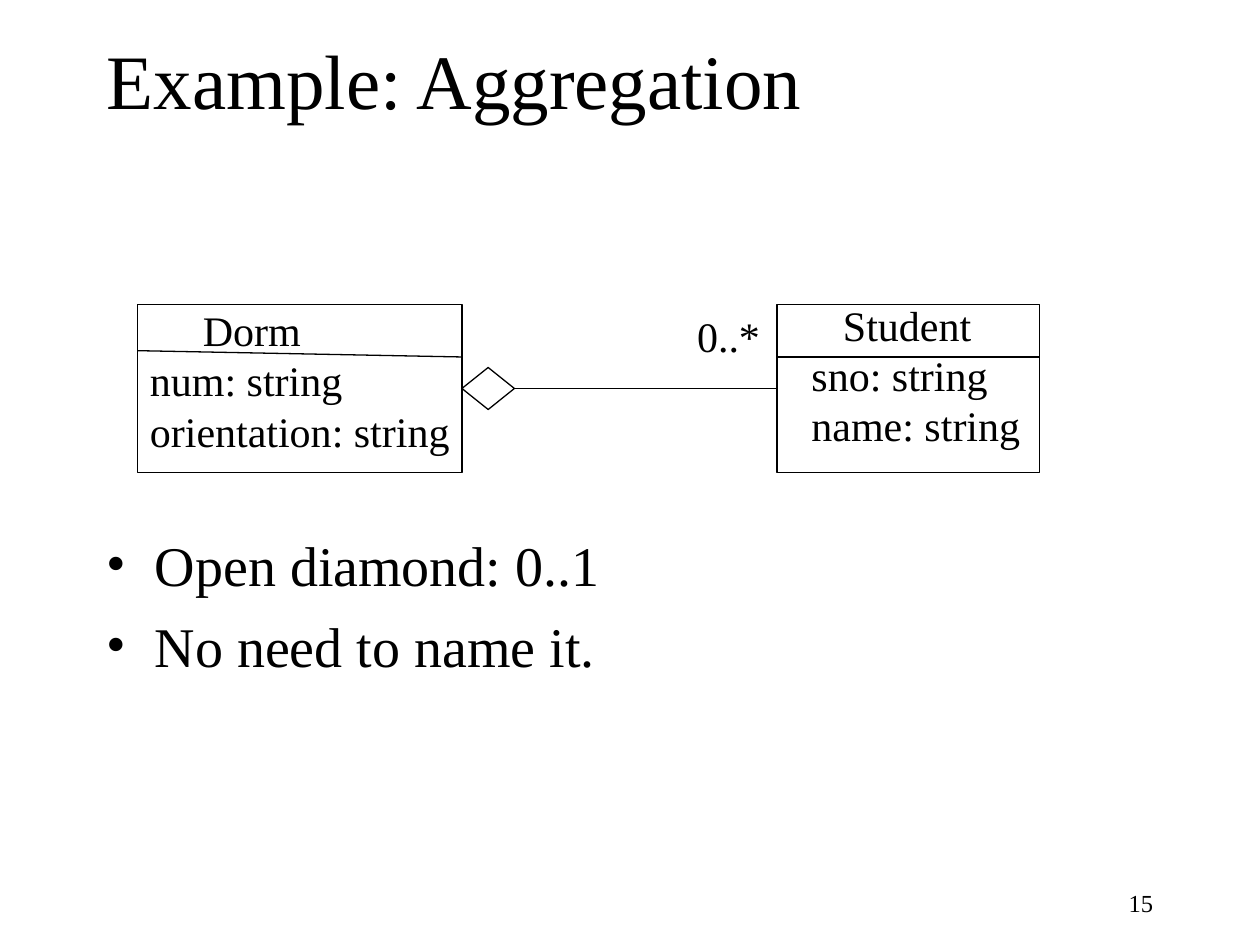
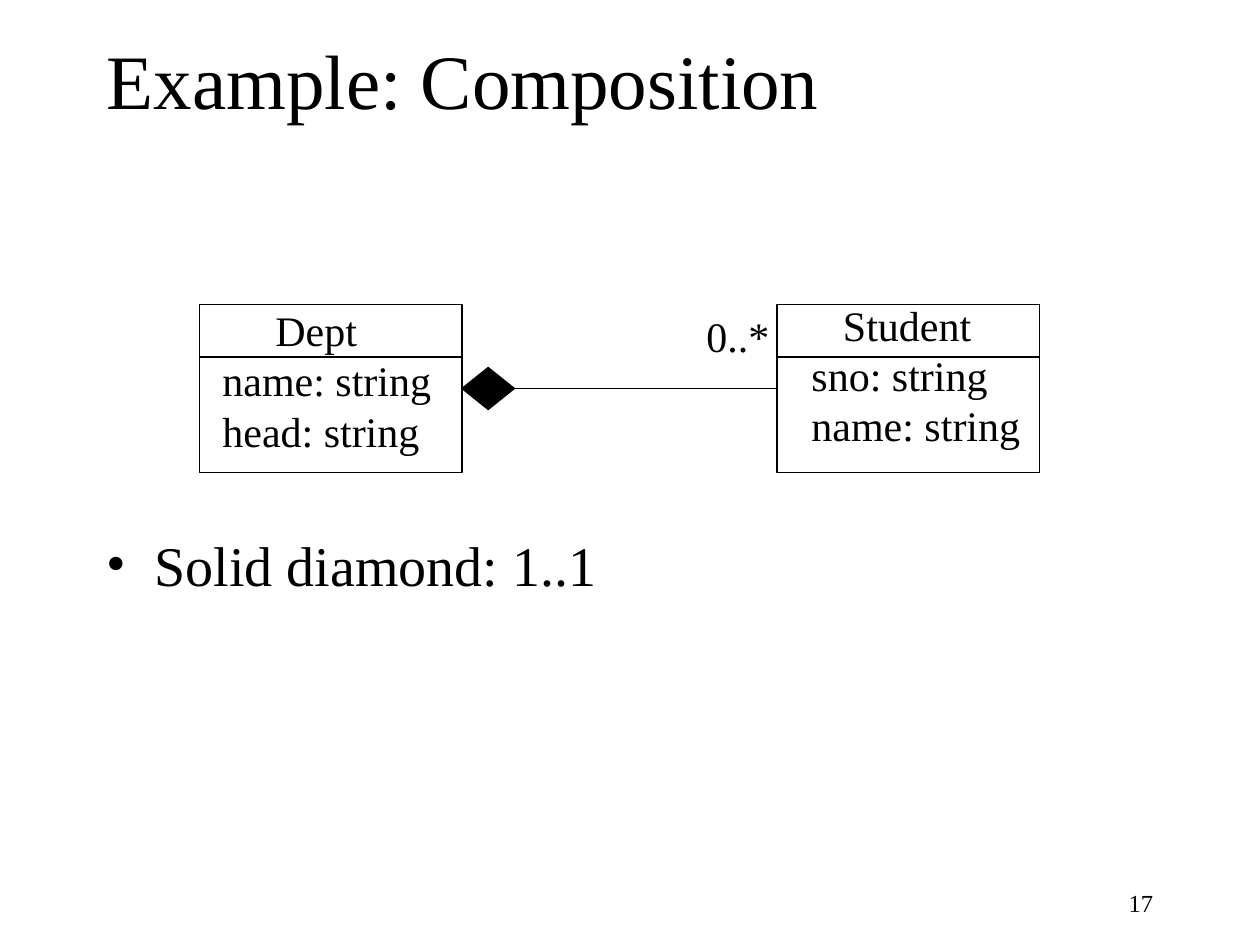
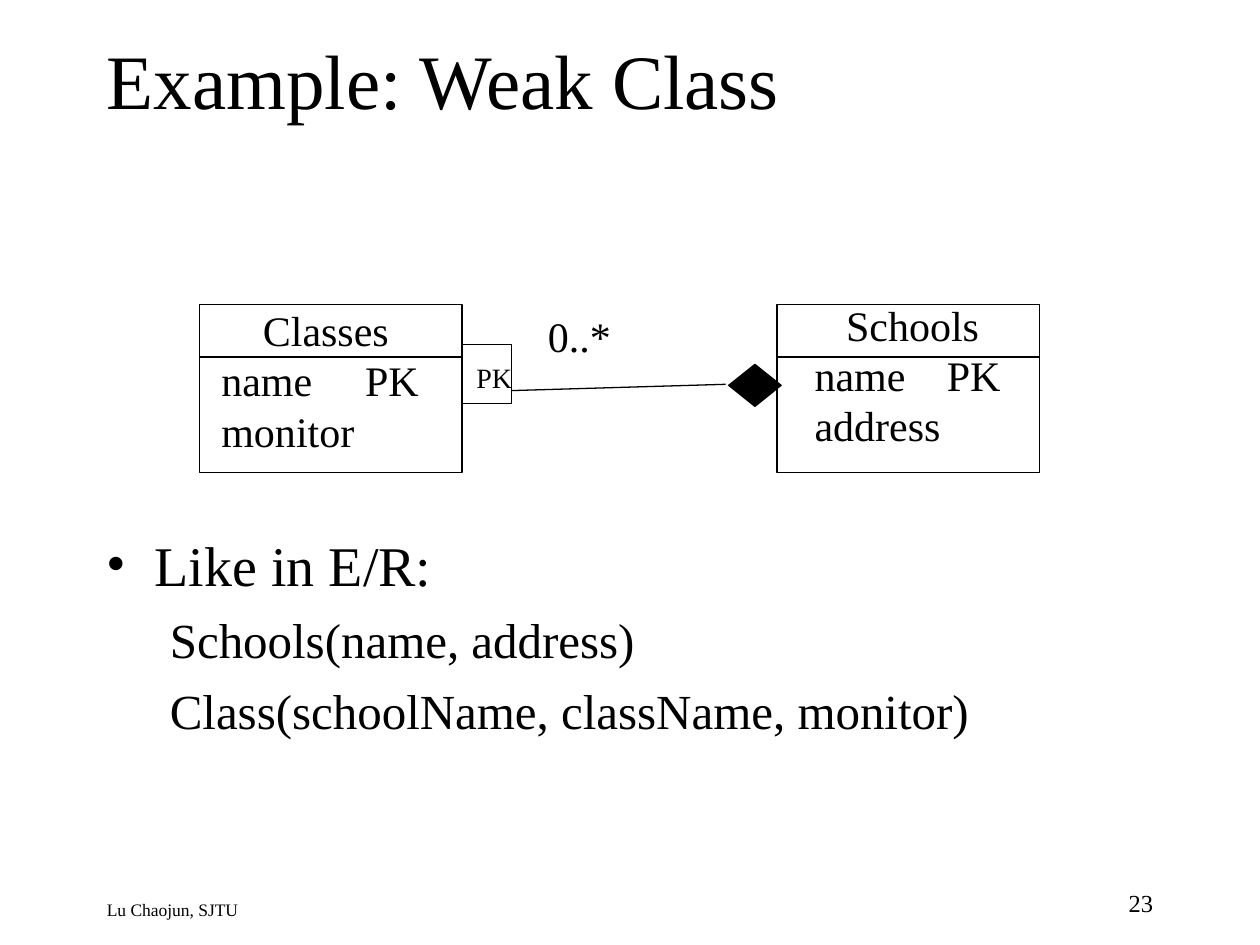
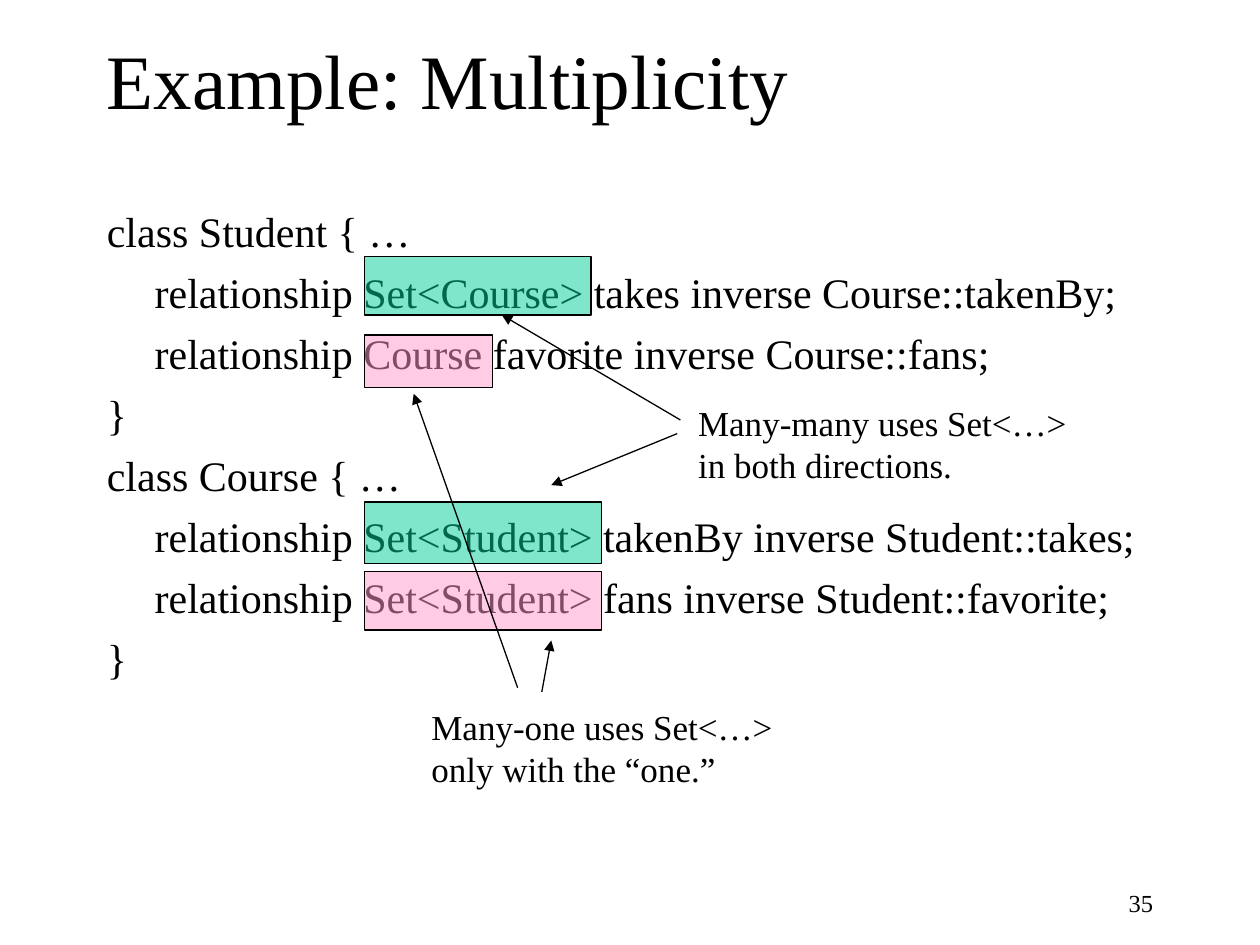
from dataclasses import dataclass

from lxml.etree import SubElement
from pptx import Presentation
from pptx.dml.color import RGBColor
from pptx.enum.shapes import MSO_CONNECTOR as Connector, MSO_SHAPE as Preset
from pptx.enum.text import MSO_ANCHOR as Anchor, PP_ALIGN as Align
from pptx.oxml.ns import qn
from pptx.util import Inches, Pt


@dataclass(frozen=True)
class Theme:
    font: str = "Times New Roman"
    ink: str = "000000"
    many_many: str = "00CC99"
    many_one: str = "FF99CC"
    title: int = 44
    body: int = 32
    sub: int = 28
    label: int = 24
    callout: int = 20
    key: int = 16
    number: int = 14
    footer: int = 10
    line: float = 0.75


@dataclass(frozen=True)
class Line:
    """One paragraph; indent and tab in inches, before and size in points."""
    text: str
    indent: float = 0
    bullet: bool = False
    before: float = 0
    size: int = 0
    tab: float = 0


THEME = Theme()
CELL = Inches(1) // 12  # every length below is in cells of this grid
COLUMNS, ROWS = 120, 90
HANG = 0.38

TITLE_BOX = (9, 0, 102, 15)
CODE_BOX = (9, 19, 102, 61)
BULLET_BOX = (9, 49.9, 102, 30)
NUMBER_BOX = (86, 84, 25, 4)
FOOTER_BOX = (9, 85, 69.6, 3)

CLASS_TOP, CLASS_HEIGHT, HEAD_HEIGHT = 29, 16, 5
LEFT_EDGE, RIGHT_EDGE, CLASS_WIDTH = 44, 74, 25  # facing sides of the classes
DIAMOND_SIZE = (5, 4)


def bullet(text):
    return Line(text, indent=HANG, bullet=True, before=8, size=THEME.body)


def relation(text):
    return Line(text, indent=0.5, before=7, size=THEME.sub)


STUDENT = {
    "text_at": (76.1, 27.9, 23.2, 15.6),
    "lines": [Line("Student", indent=0.25), Line("sno: string"), Line("name: string")],
}

DIAGRAMS = [
    {
        "title": "Example: Aggregation", "number": 15,
        "left": {
            "text_at": (13.1, 28.4, 37.9, 15.6), "width": 30.9, "slope": 0.6,
            "lines": [Line("Dorm", indent=0.42), Line("num: string"),
                      Line("orientation: string")],
        },
        "right": STUDENT, "many_left": 65.2, "solid": False,
        "bullets": [bullet("Open diamond: 0..1"), bullet("No need to name it.")],
    },
    {
        "title": "Example: Composition", "number": 17,
        "left": {
            "text_at": (20, 28.4, 23.2, 15.6),
            "lines": [Line("Dept", indent=0.42), Line("name: string"),
                      Line("head: string")],
        },
        "right": STUDENT, "many_left": 66.1, "solid": True,
        "bullets": [bullet("Solid diamond: 1..1")],
    },
    {
        "title": "Example: Weak Class", "number": 23, "footer": "Lu Chaojun, SJTU",
        "left": {
            "text_at": (19.9, 28.4, 23.2, 15.6),
            "lines": [Line("Classes", indent=0.33), Line("name\tPK", tab=1.14),
                      Line("monitor")],
        },
        "right": {
            "text_at": (76.4, 27.9, 22.2, 15.6),
            "lines": [Line("Schools", indent=0.25), Line("name\tPK", tab=1.05),
                      Line("address")],
        },
        "many_left": 51, "solid": True, "qualifier": "PK",
        "bullets": [bullet("Like in E/R:"), relation("Schools(name, address)"),
                    relation("Class(schoolName, className, monitor)")],
    },
]

CODE = [
    (0, "class Student { …"),
    (1, "relationship Set<Course> takes inverse Course::takenBy;"),
    (1, "relationship Course favorite inverse Course::fans;"),
    (0, "}"),
    (0, "class Course { …"),
    (1, "relationship Set<Student> takenBy inverse Student::takes;"),
    (1, "relationship Set<Student> fans inverse Student::favorite;"),
    (0, "}"),
]
TYPE_LEFT = 34.7
CALLOUTS = [
    {
        "color": THEME.many_many,
        "marks": [(24.4, 21.6, 5.6), (47.8, 22.6, 5.9)],  # top, width, height
        "text_at": (65.3, 37.6, 40, 9.2),
        "lines": ["Many-many uses Set<…>", "in both directions."],
        "arrows": [((64.8, 40), (47.8, 30)), ((64.5, 41.3), (52.5, 46.2))],
    },
    {
        "color": THEME.many_one,
        "marks": [(31.9, 12.2, 5), (54.4, 22.6, 5.6)],
        "text_at": (39.9, 66.6, 37, 9.2),
        "lines": ["Many-one uses Set<…>", "only with the “one.”"],
        "arrows": [((49.3, 65.5), (39.4, 37.5)), ((51.6, 65.9), (52.5, 61))],
    },
]


def cells(values):
    return [round(value * CELL) for value in values]


def add_text(slide, at, lines, size=THEME.label, align=Align.LEFT,
             anchor=Anchor.TOP, wrap=True):
    frame = slide.shapes.add_textbox(*cells(at)).text_frame
    frame.word_wrap = wrap
    frame.vertical_anchor = anchor
    for index, line in enumerate(lines):
        if isinstance(line, str):
            line = Line(line)
        paragraph = frame.paragraphs[0] if index == 0 else frame.add_paragraph()
        paragraph.alignment = align
        properties = paragraph._p.get_or_add_pPr()
        if line.indent:
            properties.set("marL", str(Inches(line.indent)))
        if line.bullet:
            properties.set("indent", str(-Inches(line.indent)))
            SubElement(properties, qn("a:buFont"), typeface=THEME.font)
            SubElement(properties, qn("a:buChar"), char="•")
        if line.tab:
            tabs = SubElement(properties, qn("a:tabLst"))
            SubElement(tabs, qn("a:tab"), pos=str(Inches(line.tab)), algn="l")
        if index and line.before:
            paragraph.space_before = Pt(line.before)
        run = paragraph.add_run()
        run.text = line.text
        run.font.name = THEME.font
        run.font.size = Pt(line.size or size)
        run.font.color.rgb = RGBColor.from_string(THEME.ink)


def add_outline(slide, at, preset=Preset.RECTANGLE, fill=None, opacity=100):
    shape = slide.shapes.add_shape(preset, *cells(at))
    shape.shadow.inherit = False
    shape.line.color.rgb = RGBColor.from_string(THEME.ink)
    shape.line.width = Pt(THEME.line)
    if fill is None:
        shape.fill.background()
        return shape
    shape.fill.solid()
    shape.fill.fore_color.rgb = RGBColor.from_string(fill)
    if opacity < 100:
        color = shape.fill._xPr.find(qn("a:solidFill"))[0]
        SubElement(color, qn("a:alpha"), val=str(opacity * 1000))
    return shape


def add_line(slide, start, end, arrow=False):
    connector = slide.shapes.add_connector(Connector.STRAIGHT, *cells(start + end))
    connector.line.color.rgb = RGBColor.from_string(THEME.ink)
    connector.line.width = Pt(THEME.line)
    if arrow:
        SubElement(connector.line._get_or_add_ln(), qn("a:tailEnd"), type="triangle")
    SubElement(connector._element.spPr, qn("a:effectLst"))
    return connector


def add_slide(presentation, title, number, footer=None):
    """Add a slide with the shared title, page number and optional footer."""
    slide = presentation.slides.add_slide(presentation.slide_layouts[6])
    add_text(slide, TITLE_BOX, [title], size=THEME.title, anchor=Anchor.MIDDLE)
    add_text(slide, NUMBER_BOX, [str(number)], size=THEME.number, align=Align.RIGHT)
    if footer:
        add_text(slide, FOOTER_BOX, [footer], size=THEME.footer)
    return slide


def add_class(slide, left, width, content):
    """Draw a class: outline, divider under the name, and its text."""
    add_text(slide, content["text_at"], content["lines"], wrap=False)
    outline = add_outline(slide, (left, CLASS_TOP, width, CLASS_HEIGHT))
    divider = CLASS_TOP + HEAD_HEIGHT
    add_line(slide, (left, divider - content.get("slope", 0)), (left + width, divider))
    return outline


def add_diagram(presentation, content):
    slide = add_slide(presentation, content["title"], content["number"],
                      content.get("footer"))
    add_text(slide, BULLET_BOX, content["bullets"])
    left_width = content["left"].get("width", CLASS_WIDTH)
    add_class(slide, LEFT_EDGE - left_width, left_width, content["left"])
    right_class = add_class(slide, RIGHT_EDGE, CLASS_WIDTH, content["right"])
    fill = THEME.ink if content["solid"] else None
    middle = CLASS_TOP + CLASS_HEIGHT / 2
    if "qualifier" in content:
        add_outline(slide, (69.4, 34.7, *DIAMOND_SIZE), Preset.DIAMOND, fill)
        add_outline(slide, (LEFT_EDGE, 32.8, 4.7, 5.6))
        add_text(slide, (44.2, 33.7, 5.8, 4.4), [content["qualifier"]],
                 size=THEME.key, wrap=False)
        add_line(slide, (48.7, 37.2), (69.1, 36.6))
    else:
        width, height = DIAMOND_SIZE
        diamond = add_outline(slide, (LEFT_EDGE, middle - height / 2, width, height),
                              Preset.DIAMOND, fill)
        link = add_line(slide, (LEFT_EDGE + width, middle), (RIGHT_EDGE, middle))
        link.begin_connect(diamond, 3)
        link.end_connect(right_class, 1)
    add_text(slide, (content["many_left"], CLASS_TOP, 9, 6), ["0..*"], wrap=False)


def add_multiplicity(presentation):
    slide = add_slide(presentation, "Example: Multiplicity", 35)
    add_text(slide, CODE_BOX, [Line(text, indent=level * HANG, before=6)
                               for level, text in CODE])
    for callout in CALLOUTS:
        for top, width, height in callout["marks"]:
            add_outline(slide, (TYPE_LEFT, top, width, height),
                        fill=callout["color"], opacity=50)
        add_text(slide, callout["text_at"], callout["lines"],
                 size=THEME.callout, wrap=False)
        for start, end in callout["arrows"]:
            add_line(slide, start, end, arrow=True)


def main():
    presentation = Presentation()
    presentation.slide_width, presentation.slide_height = cells((COLUMNS, ROWS))
    for content in DIAGRAMS:
        add_diagram(presentation, content)
    add_multiplicity(presentation)
    presentation.save("out.pptx")


if __name__ == "__main__":
    main()
